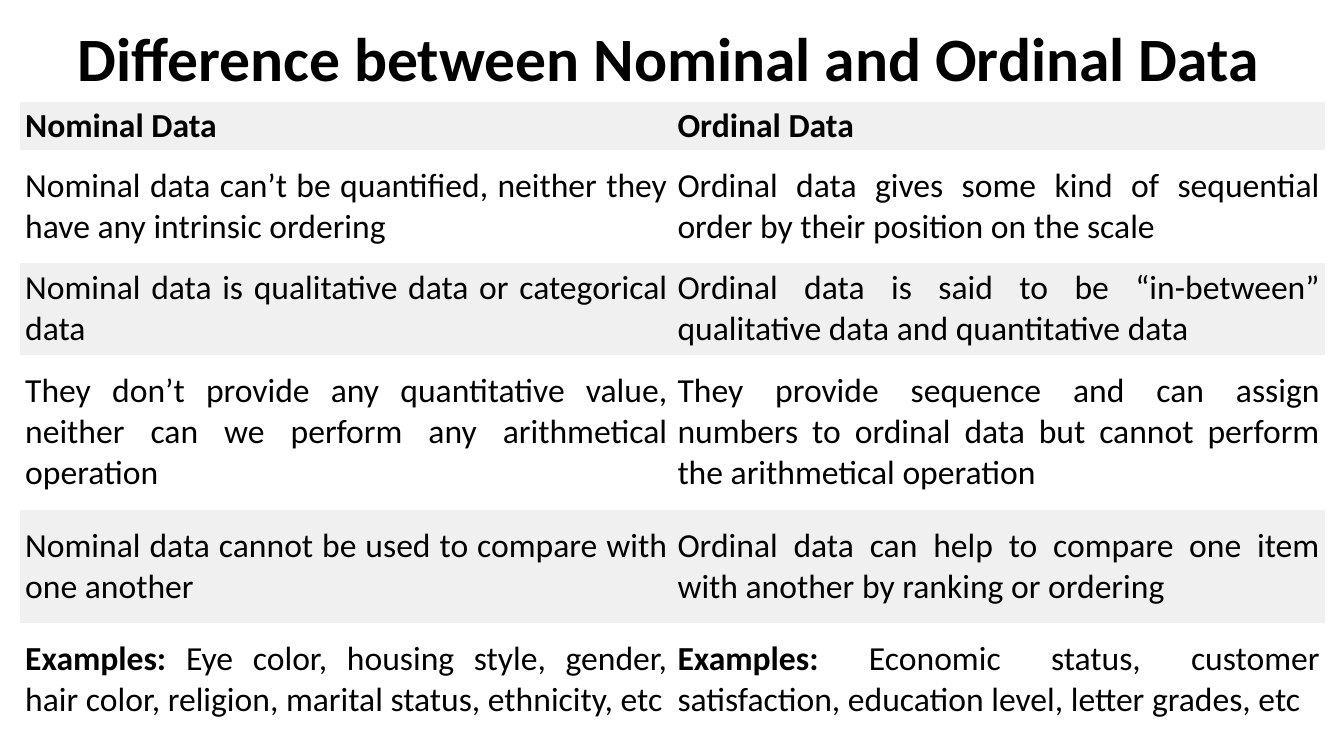
from dataclasses import dataclass

from pptx import Presentation
from pptx.dml.color import RGBColor
from pptx.enum import text
from pptx.oxml import ns
from pptx.util import Inches, Pt


@dataclass(frozen=True)
class Theme:
    font: str = "Calibri"
    title_size: int = 44
    body_size: int = 24
    ink: str = "000000"
    bands: tuple = ("F0F0F0", "FFFFFF")
    plain_table: str = "{2D5ABB26-0587-4C30-8999-92F81FD0307C}"


THEME = Theme()

TITLE = "Difference between Nominal and Ordinal Data"
LEAD = "Examples:"
ROWS = [
    (0.48, "Nominal Data", "Ordinal Data"),
    (1.12, "Nominal data can’t be quantified, neither they have any intrinsic ordering",
     "Ordinal data gives some kind of sequential order by their position on the scale"),
    (0.91, "Nominal data is qualitative data or categorical data",
     "Ordinal data is said to be “in-between” qualitative data and quantitative data"),
    (1.54, "They don’t provide any quantitative value, neither can we perform any "
     "arithmetical operation",
     "They provide sequence and can assign numbers to ordinal data but cannot perform "
     "the arithmetical operation"),
    (1.12, "Nominal data cannot be used to compare with one another",
     "Ordinal data can help to compare one item with another by ranking or ordering"),
    (1.12, "Examples: Eye color, housing style, gender, hair color, religion, "
     "marital status, ethnicity, etc",
     "Examples: Economic status, customer satisfaction, education level, "
     "letter grades, etc "),
]


def style_para(para, size, align, bold):
    para.alignment = align
    para.font.name = THEME.font
    para.font.size = Pt(size)
    para.font.bold = bold
    para.font.color.rgb = RGBColor.from_string(THEME.ink)


def add_title(page, words):
    box = page.shapes.add_textbox(Inches(0.5), Inches(0.21), Inches(12.27), Inches(0.8))
    frame = box.text_frame
    frame.word_wrap = True
    frame.vertical_anchor = text.MSO_ANCHOR.MIDDLE
    para = frame.paragraphs[0]
    para.text = words
    para.line_spacing = 0.9
    style_para(para, THEME.title_size, text.PP_ALIGN.CENTER, True)


def fill_cell(cell, words, band, bold):
    cell.fill.solid()
    cell.fill.fore_color.rgb = RGBColor.from_string(band)
    cell.vertical_anchor = text.MSO_ANCHOR.MIDDLE
    cell.margin_left = cell.margin_right = Inches(0.05)
    cell.margin_top = cell.margin_bottom = Inches(0.03)

    # A leading label stands out in bold
    para = cell.text_frame.paragraphs[0]
    if words.startswith(LEAD):
        label = para.add_run()
        label.text = LEAD
        label.font.bold = True
        words = words.removeprefix(LEAD)
    para.add_run().text = words
    style_para(para, THEME.body_size, text.PP_ALIGN.JUSTIFY, bold)


def add_comparison(page, rows):
    height = sum(row[0] for row in rows)
    frame = page.shapes.add_table(len(rows), 2, Inches(0.2), Inches(1.01),
                                  Inches(12.94), Inches(height))
    # Table style without grid lines
    for style in frame.element.iter(ns.qn("a:tableStyleId")):
        style.text = THEME.plain_table
    table = frame.table
    for number, (row_height, *cells) in enumerate(rows):
        table.rows[number].height = Inches(row_height)
        for column, words in enumerate(cells):
            fill_cell(table.cell(number, column), words,
                      THEME.bands[number % 2], bold=number == 0)


def main():
    deck = Presentation()
    deck.slide_width, deck.slide_height = Inches(13.33), Inches(7.5)
    page = deck.slides.add_slide(deck.slide_layouts[6])
    add_title(page, TITLE)
    add_comparison(page, ROWS)
    deck.save("out.pptx")


if __name__ == "__main__":
    main()
